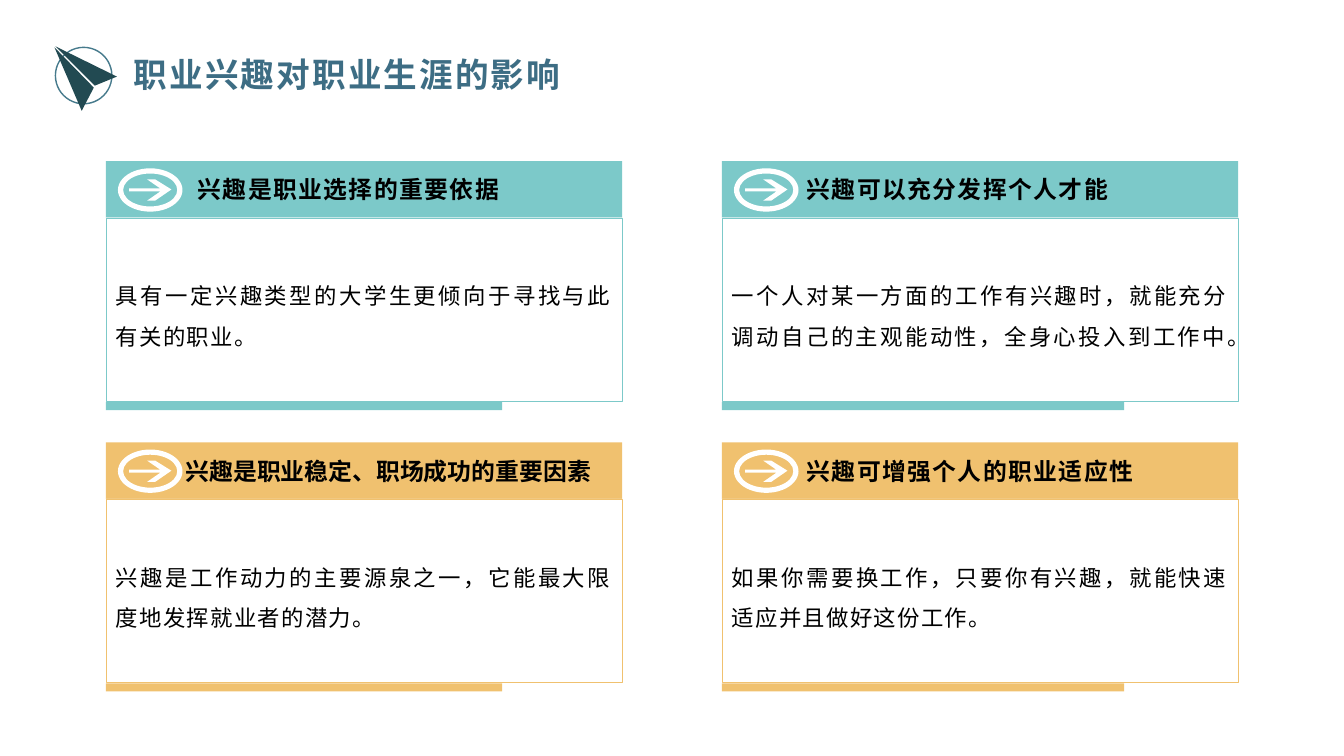
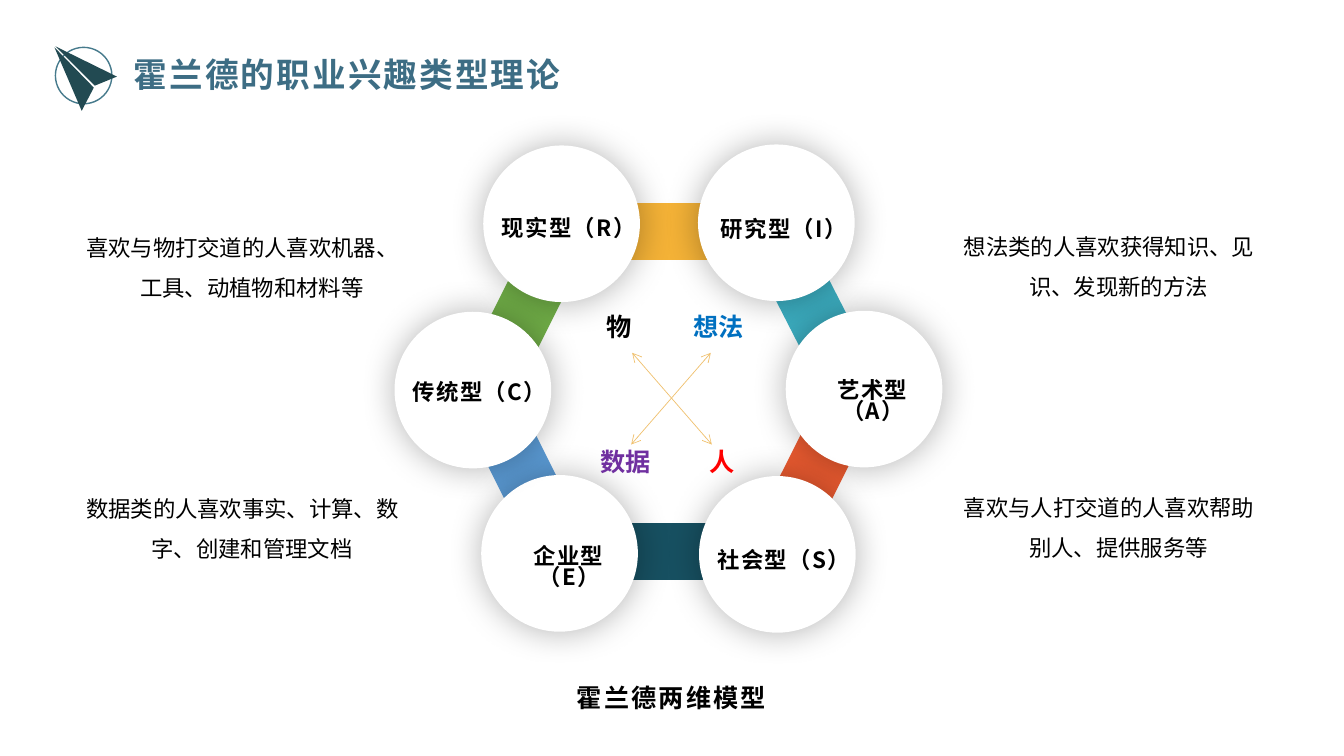
from lxml import etree
from pptx import Presentation
from pptx.dml.color import RGBColor
from pptx.enum import shapes, text
from pptx.oxml import ns
from pptx.util import Inches, Pt

FONT = "Noto Sans CJK SC"
BLACK = RGBColor(0x00, 0x00, 0x00)
WHITE = RGBColor(0xFF, 0xFF, 0xFF)
TITLE_BLUE = RGBColor(0x3D, 0x6D, 0x84)
RING_BLUE = RGBColor(0x46, 0x7A, 0x8C)
PLANE_GREEN = RGBColor(0x22, 0x4A, 0x52)
TEAL = RGBColor(0x7C, 0xC9, 0xC9)
SAND = RGBColor(0xF0, 0xC1, 0x6F)
AMBER = RGBColor(0xF4, 0xB2, 0x37)
CYAN = RGBColor(0x3C, 0xAD, 0xC0)
ORANGE = RGBColor(0xE9, 0x5A, 0x30)
NAVY = RGBColor(0x17, 0x50, 0x61)
BLUE = RGBColor(0x5B, 0x9B, 0xD5)
GREEN = RGBColor(0x70, 0xAD, 0x47)
RED = RGBColor(0xFF, 0x00, 0x00)
IDEA_BLUE = RGBColor(0x00, 0x70, 0xC0)
PURPLE = RGBColor(0x70, 0x30, 0xA0)

RECTANGLE = shapes.MSO_SHAPE.RECTANGLE
OVAL = shapes.MSO_SHAPE.OVAL
LEFT, CENTER = text.PP_ALIGN.LEFT, text.PP_ALIGN.CENTER


def style(shape, fill=None, line=None, width=1):
    shape.shadow.inherit = False
    if fill is None:
        shape.fill.background()
    else:
        shape.fill.solid()
        shape.fill.fore_color.rgb = fill
    if line is None:
        shape.line.fill.background()
    else:
        shape.line.color.rgb = line
        shape.line.width = Pt(width)
    return shape


def write(shape, words, size, color=BLACK, bold=False, align=LEFT, line_spacing=None,
          letter_spacing=0, wrap=True):
    frame = shape.text_frame
    frame.word_wrap = wrap
    paragraph = frame.paragraphs[0]
    run = paragraph.add_run()
    run.text = words
    paragraph.alignment = align
    if line_spacing:
        paragraph.line_spacing = line_spacing
    font = paragraph.font
    font.name, font.size, font.bold = FONT, Pt(size), bold
    font.color.rgb = color
    # East Asian typeface and letter spacing
    etree.SubElement(font._rPr, ns.qn("a:ea"), typeface=FONT)
    run_properties = run._r.get_or_add_rPr()
    run_properties.set("lang", "zh-CN")
    if letter_spacing:
        run_properties.set("spc", str(int(letter_spacing * 100)))
    return paragraph


presentation = Presentation()
presentation.slide_width, presentation.slide_height = Inches(13.33), Inches(7.5)

# Shared heading: title, ring and paper plane
plane_wings = [[(1.16, 0.76), (0.94, 0.85), (0.55, 0.46)],
               [(0.93, 0.87), (0.81, 1.1), (0.54, 0.47)]]
slides = []
for title in ("职业兴趣对职业生涯的影响", "霍兰德的职业兴趣类型理论"):
    slide = presentation.slides.add_slide(presentation.slide_layouts[6])
    slides.append(slide)
    box = slide.shapes.add_textbox(Inches(1.23), Inches(0.49), Inches(6.67), Inches(0.5))
    write(box, title, 24, TITLE_BLUE, bold=True, letter_spacing=1.5)
    ring = slide.shapes.add_shape(OVAL, Inches(0.55), Inches(0.47), Inches(0.56), Inches(0.56))
    style(ring, line=RING_BLUE)
    for wing in plane_wings:
        points = [(Inches(x), Inches(y)) for x, y in wing]
        builder = slide.shapes.build_freeform(*points[0])
        builder.add_line_segments(points[1:])
        style(builder.convert_to_shape(), PLANE_GREEN)
cards_slide, model_slide = slides

# Four cards: heading, its left inset, letter spacing, body
cards = [
    ("兴趣是职业选择的重要依据", 0.91, 1,
     "具有一定兴趣类型的大学生更倾向于寻找与此有关的职业。"),
    ("兴趣可以充分发挥个人才能", 0.84, 1,
     "一个人对某一方面的工作有兴趣时，就能充分调动自己的主观能动性，全身心投入到工作中。"),
    ("兴趣是职业稳定、职场成功的重要因素", 0.79, 0,
     "兴趣是工作动力的主要源泉之一，它能最大限度地发挥就业者的潜力。"),
    ("兴趣可增强个人的职业适应性", 0.84, 1,
     "如果你需要换工作，只要你有兴趣，就能快速适应并且做好这份工作。"),
]
arrow_points = [(0.41, 0.18), (0.54, 0.27), (0.23, 0.27), (0.23, 0.3), (0.54, 0.3),
                (0.41, 0.39), (0.49, 0.39), (0.65, 0.28), (0.49, 0.18)]
for index, (heading, inset, spacing, body) in enumerate(cards):
    row, column = divmod(index, 2)
    left, top = 1.05 + column * 6.11, 1.6 + row * 2.79
    color = (TEAL, SAND)[row]
    x = Inches(left)

    header = cards_slide.shapes.add_shape(RECTANGLE, x, Inches(top), Inches(5.12), Inches(0.56))
    style(header, color)
    header.text_frame.margin_left = Inches(inset)
    header.text_frame.vertical_anchor = text.MSO_ANCHOR.MIDDLE
    write(header, heading, 17, bold=True, letter_spacing=spacing)

    donut = cards_slide.shapes.add_shape(
        shapes.MSO_SHAPE.DONUT, Inches(left + 0.12), Inches(top + 0.07), Inches(0.64), Inches(0.43))
    donut.adjustments[0] = 0.12
    style(donut, WHITE)
    points = [(Inches(left + dx), Inches(top + dy)) for dx, dy in arrow_points]
    builder = cards_slide.shapes.build_freeform(*points[0])
    builder.add_line_segments(points[1:])
    style(builder.convert_to_shape(), WHITE)

    panel = cards_slide.shapes.add_shape(
        RECTANGLE, x, Inches(top + 0.56), Inches(5.12), Inches(1.82))
    style(panel, WHITE, color, 0.25)
    panel.text_frame.vertical_anchor = text.MSO_ANCHOR.MIDDLE
    write(panel, body, 16, align=text.PP_ALIGN.JUSTIFY, line_spacing=1.5, letter_spacing=1)

    bar = cards_slide.shapes.add_shape(
        RECTANGLE, x, Inches(top + 2.39), Inches((3.93, 3.99)[column]), Inches(0.08))
    style(bar, color)

# Hexagon links: left, top, width, rotation, colour
links = [
    (5.48, 2.02, 2.32, 0, AMBER),
    (7.13, 2.82, 1.88, 62.9, CYAN),
    (7.14, 4.39, 1.88, 116.7, ORANGE),
    (5.48, 5.2, 2.32, 0, NAVY),
    (4.24, 4.4, 1.88, 63.4, BLUE),
    (4.26, 2.82, 1.88, 116.7, GREEN),
]
for left, top, width, rotation, color in links:
    link = model_slide.shapes.add_shape(
        RECTANGLE, Inches(left), Inches(top), Inches(width), Inches(0.55))
    link.rotation = rotation
    style(link, color, color)

# Hexagon nodes: circle left and top, label, label box
nodes = [
    (4.8, 1.45, "现实型（R）", (4.85, 2.13, 1.58, 0.44)),
    (6.93, 1.44, "研究型（I）", (7, 2.14, 1.55, 0.57)),
    (7.8, 3.09, "艺术型（A）", (7.92, 3.73, 1.48, 0.38)),
    (6.94, 4.73, "社会型（S）", (6.95, 5.42, 1.65, 0.52)),
    (4.78, 4.72, "企业型（E）", (4.91, 5.38, 1.47, 0.47)),
    (3.92, 3.1, "传统型（C）", (3.96, 3.75, 1.59, 0.55)),
]
for left, top, label, label_box in nodes:
    circle = model_slide.shapes.add_shape(
        OVAL, Inches(left), Inches(top), Inches(1.54), Inches(1.54))
    style(circle, WHITE, WHITE)
    effects = circle._element.spPr.find(ns.qn("a:effectLst"))
    shadow = etree.SubElement(effects, ns.qn("a:outerShdw"), blurRad=str(Pt(25)),
                              dist="0", dir="0", algn="ctr", rotWithShape="0")
    shade = etree.SubElement(shadow, ns.qn("a:srgbClr"), val=str(BLACK))
    etree.SubElement(shade, ns.qn("a:alpha"), val="29000")
for left, top, label, label_box in nodes:
    box = model_slide.shapes.add_textbox(*map(Inches, label_box))
    write(box, label, 16, bold=True, align=CENTER, line_spacing=0.8, letter_spacing=1)

# Crossed double arrows
for start, end in ((6.27, 7.06), (7.05, 6.26)):
    arrow = model_slide.shapes.add_connector(
        shapes.MSO_CONNECTOR.STRAIGHT, Inches(start), Inches(3.5), Inches(end), Inches(4.41))
    arrow.line.color.rgb = SAND
    arrow.line.width = Pt(0.5)
    for tag in ("a:headEnd", "a:tailEnd"):
        etree.SubElement(arrow.line._get_or_add_ln(), ns.qn(tag), type="arrow")
    etree.SubElement(arrow._element.spPr, ns.qn("a:effectLst"))

# Ends of the two dimensions
poles = [
    ("物", 5.92, 3.04, 0.38, BLACK),
    ("人", 6.94, 4.38, 0.38, RED),
    ("想法", 6.67, 3.04, 0.91, IDEA_BLUE),
    ("数据", 5.75, 4.38, 0.91, PURPLE),
]
for label, left, top, width, color in poles:
    box = model_slide.shapes.add_textbox(Inches(left), Inches(top), Inches(width), Inches(0.4))
    write(box, label, 18, color, bold=True, align=CENTER, wrap=False)

# Side descriptions
descriptions = [
    ("数据类的人喜欢事实、计算、数字、创建和管理文档", 0.71, 4.73, 3.39),
    ("想法类的人喜欢获得知识、见识、发现新的方法", 9.37, 2.13, 3.26),
    ("喜欢与人打交道的人喜欢帮助别人、提供服务等", 9.37, 4.72, 3.26),
    ("喜欢与物打交道的人喜欢机器、工具、动植物和材料等", 0.71, 2.14, 3.39),
]
for words, left, top, width in descriptions:
    box = model_slide.shapes.add_textbox(Inches(left), Inches(top), Inches(width), Inches(0.99))
    paragraph = write(box, words, 16, align=CENTER, line_spacing=1.5)
    properties = paragraph._p.get_or_add_pPr()
    properties.set("marL", str(Inches(0.19)))
    properties.set("indent", str(-Inches(0.19)))

# Caption
caption = model_slide.shapes.add_textbox(Inches(5.34), Inches(6.72), Inches(2.64), Inches(0.4))
write(caption, "霍兰德两维模型", 18, bold=True, align=CENTER, letter_spacing=1.5)

presentation.save("out.pptx")
